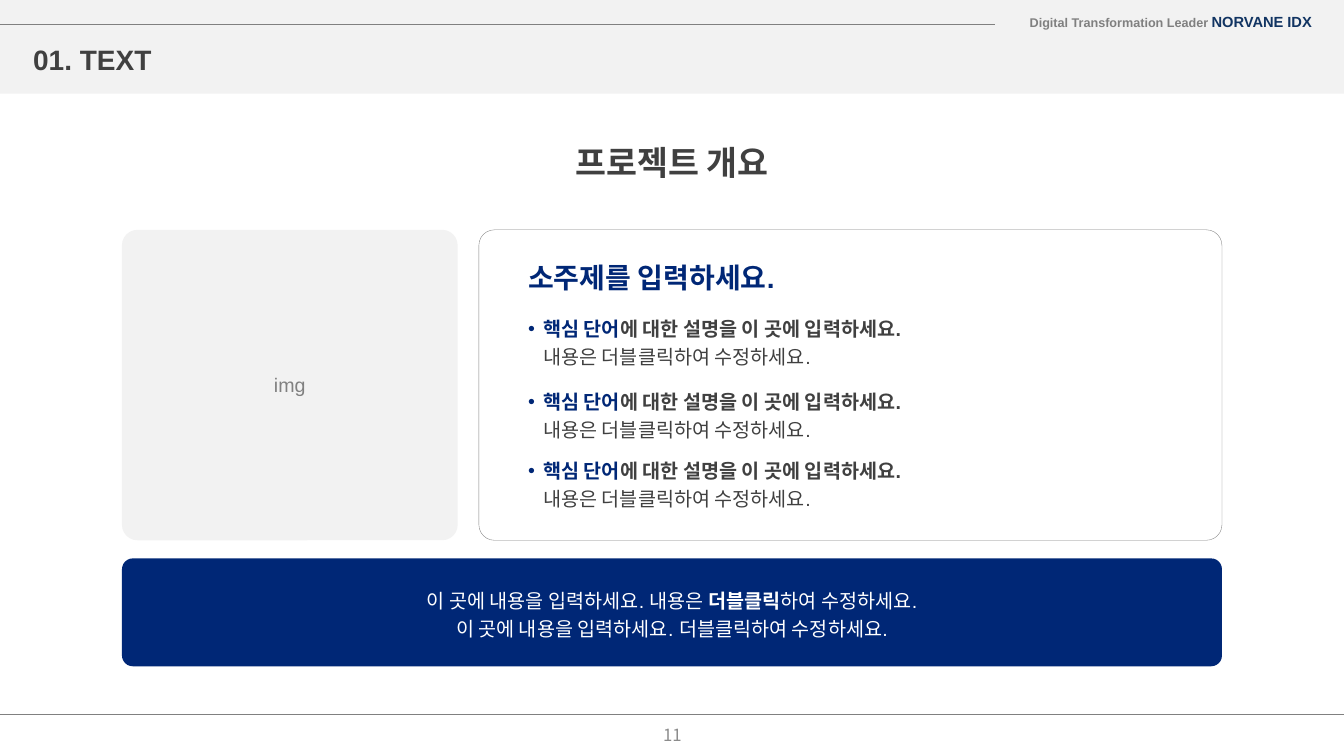
from dataclasses import dataclass
from lxml.etree import SubElement
from pptx import Presentation
from pptx.dml.color import RGBColor
from pptx.enum.shapes import MSO_CONNECTOR, MSO_SHAPE
from pptx.enum.text import MSO_ANCHOR, PP_ALIGN
from pptx.oxml.ns import qn
from pptx.util import Inches, Pt


@dataclass(frozen=True)
class Theme:
    face: str = "Arial"
    page: str = "Noto Sans CJK KR"
    navy: str = "002776"
    brand: str = "113462"
    dark: str = "404040"
    gray: str = "808080"
    faint: str = "8C8C8C"
    pale: str = "F2F2F2"
    white: str = "FFFFFF"
    title: float = 24
    head: float = 20
    body: float = 14
    foot: float = 12
    label: float = 10.5
    tag: float = 9


class Deck:
    def __init__(self, theme, slide):
        self.theme = theme
        self.slide = slide

    def fill(self, frame, rows, size, color, bold=False, align=PP_ALIGN.LEFT,
             space=None, face=None, bullet=False, anchor=MSO_ANCHOR.MIDDLE):
        frame.word_wrap = True
        frame.vertical_anchor = anchor
        for n, row in enumerate(rows):
            para = frame.add_paragraph() if n else frame.paragraphs[0]
            para.alignment = align
            para.line_spacing = space
            if bullet:
                props = para._p.get_or_add_pPr()
                props.set("marL", str(Inches(0.15)))
                props.set("indent", str(Inches(-0.15)))
                SubElement(props, qn("a:buFont"), typeface="Arial")
                SubElement(props, qn("a:buChar"), char="•")
            font = para.font
            font.name = face or self.theme.face
            font.size = Pt(size)
            font.bold = bold
            font.color.rgb = RGBColor.from_string(color)
            for part in row:
                self.run(para, **part)

    def run(self, para, text, color=None, bold=None, size=None, wrap=False):
        if wrap:
            para.add_line_break()
        run = para.add_run()
        run.text = text
        if color:
            run.font.color.rgb = RGBColor.from_string(color)
        if bold is not None:
            run.font.bold = bold
        if size:
            run.font.size = Pt(size)

    def text(self, box, rows, size, color, **style):
        shape = self.slide.shapes.add_textbox(*map(Inches, box))
        self.fill(shape.text_frame, rows, size, color, **style)

    def panel(self, box, fill, line=None, curve=None):
        kind = MSO_SHAPE.ROUNDED_RECTANGLE if curve else MSO_SHAPE.RECTANGLE
        shape = self.slide.shapes.add_shape(kind, *map(Inches, box))
        shape.shadow.inherit = False
        if curve:
            shape.adjustments[0] = curve
        shape.fill.solid()
        shape.fill.fore_color.rgb = RGBColor.from_string(fill)
        if line:
            shape.line.color.rgb = RGBColor.from_string(line)
            shape.line.width = Pt(0.25)
        else:
            shape.line.fill.background()
        return shape.text_frame

    def rule(self, width, top):
        line = self.slide.shapes.add_connector(
            MSO_CONNECTOR.STRAIGHT, 0, Inches(top), Inches(width), Inches(top))
        line.line.color.rgb = RGBColor.from_string(self.theme.gray)
        line.line.width = Pt(0.5)
        SubElement(line._element.spPr, qn("a:effectLst"))


def main():
    show = Presentation()
    show.slide_width, show.slide_height = Inches(13.33), Inches(7.5)
    look = Theme()
    deck = Deck(look, show.slides.add_slide(show.slide_layouts[6]))
    mid = PP_ALIGN.CENTER

    deck.panel((0, 0, 13.33, 0.93), look.pale)
    deck.text((9.97, 0.1, 3.14, 0.28),
              [[dict(text="Digital Transformation Leader ", size=look.tag),
                dict(text="NORVANE IDX", color=look.brand)]],
              look.label, look.gray, bold=True, align=PP_ALIGN.RIGHT, space=0.7)
    deck.text((0.23, 0.38, 5.19, 0.42), [[dict(text="01. TEXT")]],
              look.head, look.dark, bold=True)
    deck.rule(9.87, 0.24)
    deck.rule(13.33, 7.09)

    image = deck.panel((1.21, 2.28, 3.33, 3.08), look.pale, curve=0.05)
    deck.fill(image, [[dict(text="img")]], look.body, look.gray, align=mid)
    note = deck.panel((1.21, 5.54, 10.91, 1.07), look.navy, curve=0.1)
    deck.fill(note,
              [[dict(text="이 곳에 내용을 입력하세요. 내용은 "),
                dict(text="더블클릭", bold=True),
                dict(text="하여 수정하세요.")],
               [dict(text="이 곳에 내용을 입력하세요. 더블클릭하여 수정하세요.")]],
              look.body, look.white, align=mid, space=1.2)

    deck.panel((4.75, 2.28, 7.37, 3.08), look.white, look.gray, 0.05)
    deck.text((5.14, 2.54, 4.15, 0.42), [[dict(text="소주제를 입력하세요.")]],
              look.head, look.navy, bold=True)
    point = [dict(text="핵심 단어"),
             dict(text="에 대한 설명을 이 곳에 입력하세요. ", color=look.dark),
             dict(text="내용은 더블클릭하여 수정하세요.", color=look.dark,
                  bold=False, wrap=True)]
    for top in (3.05, 3.77, 4.46):
        deck.text((5.14, top, 6.15, 0.64), [point], look.body, look.navy,
                  bold=True, space=1.2, bullet=True, anchor=MSO_ANCHOR.TOP)

    deck.text((4.07, 1.4, 5.19, 0.42), [[dict(text="프로젝트 개요")]],
              look.title, look.dark, bold=True, align=mid)
    deck.text((5.17, 7.09, 3, 0.4), [[dict(text="11")]],
              look.foot, look.faint, align=mid, face=look.page)
    show.save("out.pptx")


if __name__ == "__main__":
    main()
